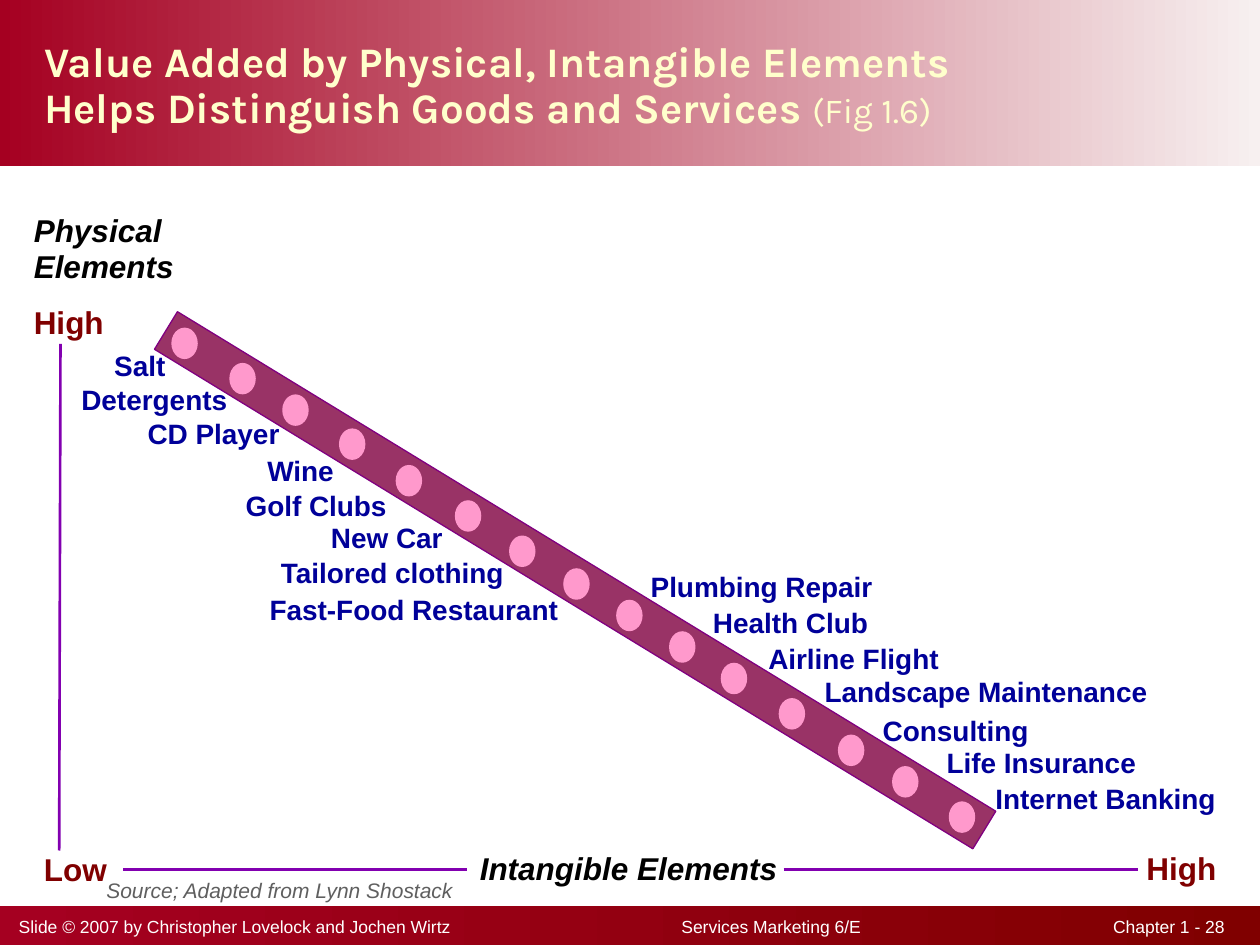
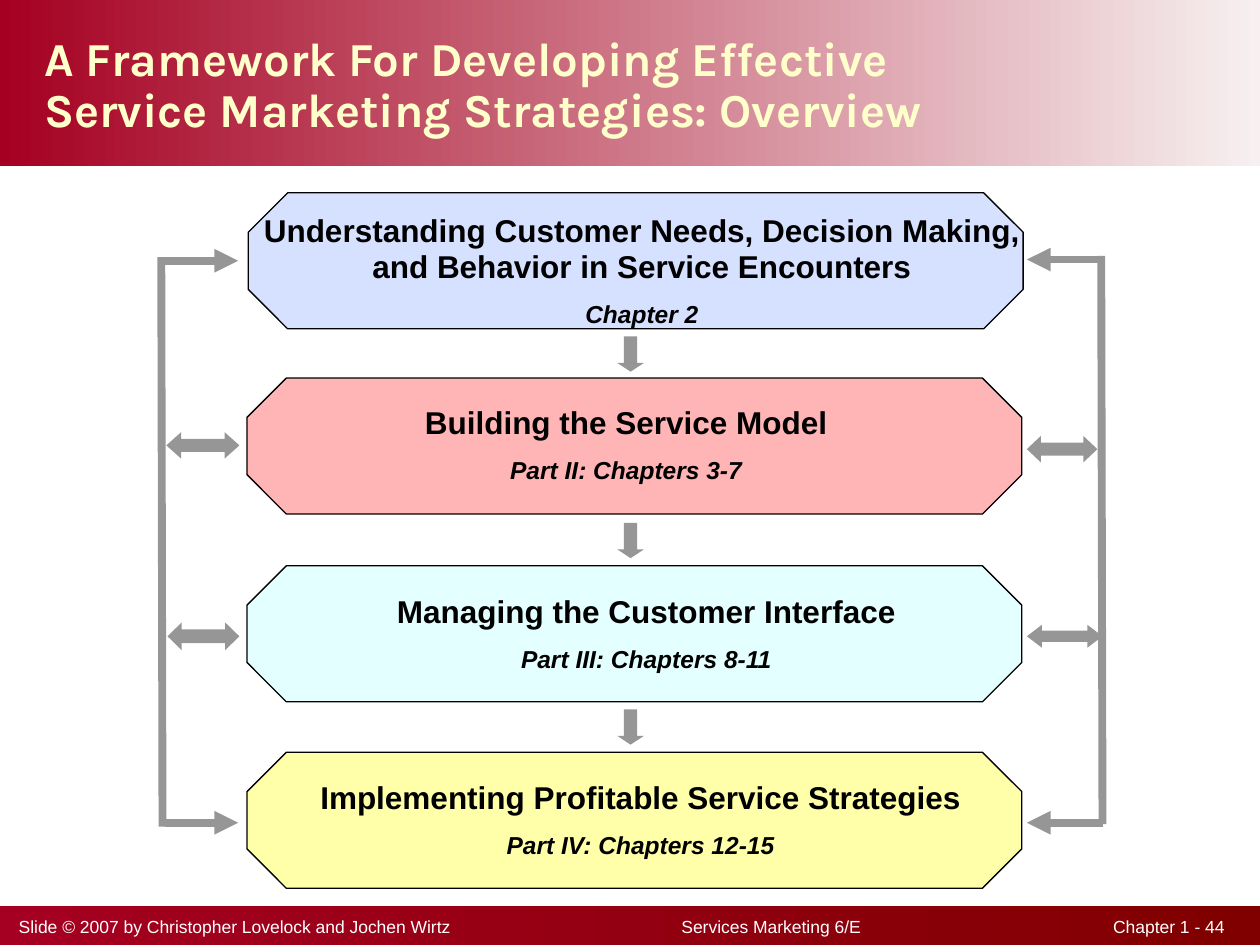
from typing import Any, NamedTuple

from lxml import etree
from pptx import Presentation
from pptx.dml.color import RGBColor
from pptx.enum import shapes, text
from pptx.oxml.ns import qn
from pptx.util import Inches, Pt

# Colours
WINE = RGBColor(0xA5, 0x00, 0x21)
MAROON = RGBColor(0x80, 0x00, 0x00)
PALE = RGBColor(0xF7, 0xF0, 0xF0)
CREAM = RGBColor(0xFF, 0xFF, 0xCC)
WHITE = RGBColor(0xFF, 0xFF, 0xFF)
BLACK = RGBColor(0x00, 0x00, 0x00)
NAVY = RGBColor(0x00, 0x00, 0x99)
VIOLET = RGBColor(0x82, 0x00, 0xB0)
PURPLE = RGBColor(0x80, 0x00, 0x80)
PLUM = RGBColor(0x99, 0x33, 0x66)
PINK = RGBColor(0xFF, 0x99, 0xCC)
GREY = RGBColor(0x96, 0x96, 0x96)
SLATE = RGBColor(0x5F, 0x5F, 0x5F)

KIND = shapes.MSO_SHAPE
LEFT, CENTER = text.PP_ALIGN.LEFT, text.PP_ALIGN.CENTER


class Box(NamedTuple):
    left: float
    top: float
    width: float
    height: float


class Line(NamedTuple):
    words: str
    size: float
    color: RGBColor
    bold: bool = True
    italic: bool = False
    before: float = 0
    face: str = "Arial"


class Good(NamedTuple):
    name: str
    left: float
    top: float
    width: float
    dot: tuple[float, float]


class Step(NamedTuple):
    name: str
    chapter: str
    frame: Box
    label: Box
    color: RGBColor
    alpha: int


class Arrow(NamedTuple):
    box: Box
    head: float


GOODS = [
    Good("Salt", 0.56, 2.74, 1.1, (1.36, 2.6)),
    Good("Detergents", 0.21, 3.01, 2.03, (1.82, 2.88)),
    Good("CD Player", 0.96, 3.28, 1.47, (2.24, 3.13)),
    Good("Wine", 1.79, 3.57, 1.19, (2.69, 3.4)),
    Good("Golf Clubs", 1.71, 3.85, 1.6, (3.14, 3.69)),
    Good("New Car", 2.46, 4.1, 1.22, (3.61, 3.97)),
    Good("Tailored clothing", 2.1, 4.38, 2.03, (4.04, 4.25)),
    Good("Fast-Food Restaurant", 1.75, 4.67, 3.07, (4.47, 4.51)),
    Good("Plumbing Repair", 5.03, 4.49, 2.03, (4.89, 4.76)),
    Good("Health Club", 5.26, 4.78, 2.03, (5.31, 5.01)),
    Good("Airline Flight", 5.76, 5.06, 2.03, (5.72, 5.26)),
    Good("Landscape Maintenance", 6.22, 5.32, 3.21, (6.18, 5.54)),
    Good("Consulting", 6.57, 5.63, 2.03, (6.65, 5.83)),
    Good("Life Insurance", 7.25, 5.89, 2.03, (7.08, 6.08)),
    Good("Internet Banking", 7.76, 6.17, 2.03, (7.53, 6.36)),
]

STEPS = [
    Step("Understanding Customer Needs, Decision Making, and Behavior in Service Encounters",
         "Chapter 2", Box(1.97, 1.53, 6.15, 1.08), Box(1.91, 1.65, 6.37, 1.02),
         RGBColor(0x33, 0x66, 0xFF), 20),
    Step("Building the Service Model", "Part II: Chapters 3-7",
         Box(1.96, 3, 6.15, 1.08), Box(2.76, 3.17, 4.42, 0.73),
         RGBColor(0xFF, 0x00, 0x00), 29),
    Step("Managing the Customer Interface", "Part III: Chapters 8-11",
         Box(1.96, 4.49, 6.15, 1.08), Box(2.92, 4.67, 4.42, 0.73),
         RGBColor(0xCC, 0xFF, 0xFF), 53),
    Step("Implementing Profitable Service Strategies", "Part IV: Chapters 12-15",
         Box(1.96, 5.97, 6.15, 1.08), Box(2.35, 6.15, 5.47, 0.73),
         RGBColor(0xFF, 0xFF, 0x99), 84),
]

LINKS = [
    Arrow(Box(8.15, 3.46, 0.56, 0.21), 0.53),
    Arrow(Box(8.15, 4.96, 0.6, 0.18), 0.66),
    Arrow(Box(1.33, 4.94, 0.57, 0.22), 0.51),
    Arrow(Box(1.32, 3.43, 0.58, 0.21), 0.56),
]


# Drawing helpers
def inch(vals: tuple) -> list:
    return [Inches(v) for v in vals]


def put(target: Any, vals: dict) -> None:
    for key, val in vals.items():
        setattr(target, key, val)


def add_run(para: Any, line: Line) -> None:
    run = para.add_run()
    run.text = line.words
    put(run.font, {"name": line.face, "size": Pt(line.size),
                   "bold": line.bold, "italic": line.italic})
    run.font.color.rgb = line.color


def add_text(slide: Any, box: Box, *lines: Line, align: Any = LEFT,
             wrap: bool = True) -> Any:
    frame = slide.shapes.add_textbox(*inch(box)).text_frame
    frame.word_wrap = wrap
    for i, line in enumerate(lines):
        para = frame.add_paragraph() if i else frame.paragraphs[0]
        put(para, {"alignment": align, "line_spacing": 0.95,
                   "space_before": Pt(line.before)})
        add_run(para, line)
    return frame


def add_form(slide: Any, kind: Any, box: Box, fill: RGBColor,
             edge: RGBColor | None = None, adj: tuple = ()) -> Any:
    form = slide.shapes.add_shape(kind, *inch(box))
    form.shadow.inherit = False
    form.fill.solid()
    form.fill.fore_color.rgb = fill
    if edge is None:
        form.line.fill.background()
    else:
        form.line.color.rgb = edge
        form.line.width = Pt(0.75)
    for i, val in enumerate(adj):
        form.adjustments[i] = val
    return form


def add_line(slide: Any, ends: tuple, color: RGBColor, width: float,
             tip: bool = False) -> None:
    line = slide.shapes.add_connector(shapes.MSO_CONNECTOR.STRAIGHT, *inch(ends))
    line.line.color.rgb = color
    line.line.width = Pt(width)
    props = line.element.spPr
    if tip:
        etree.SubElement(props.find(qn("a:ln")), qn("a:tailEnd"), type="triangle")
    etree.SubElement(props, qn("a:effectLst"))


# Shared elements
def add_bands(slide: Any, layout: Any) -> None:
    bands = [(Box(0, 0, 10, 1.32), PALE), (Box(0, 7.19, 10, 0.31), MAROON)]
    for i, (box, end) in enumerate(bands):
        band = add_form(slide, KIND.RECTANGLE, box, WINE)
        band.fill.gradient()
        band.fill.gradient_angle = 0
        for place, (stop, color) in enumerate(zip(band.fill.gradient_stops, (WINE, end))):
            stop.color.rgb = color
            stop.position = place
        band.element.nvSpPr.cNvPr.set("id", str(100 + i))
        layout.shapes.element.insert(2 + i, band.element)


def add_title(slide: Any, size: float, rows: tuple, note: str = "") -> None:
    title = slide.shapes.title
    put(title, dict(zip(("left", "top", "width", "height"),
                        inch(Box(0.25, 0.03, 8.25, 1.32)))))
    put(title.text_frame, {"word_wrap": True, "auto_size": text.MSO_AUTO_SIZE.NONE,
                           "vertical_anchor": text.MSO_ANCHOR.MIDDLE})
    para = title.text_frame.paragraphs[0]
    put(para, {"alignment": LEFT, "line_spacing": 0.9, "space_before": Pt(0)})
    for i, row in enumerate(rows):
        if i:
            para.add_line_break()
        add_run(para, Line(row, size, CREAM, face="Karla"))
    if note:
        add_run(para, Line(note, 20, CREAM, False, face="Karla"))


def add_foot(slide: Any, page: int) -> None:
    words = ("Slide © 2007 by Christopher Lovelock and Jochen Wirtz"
             f"\tServices Marketing 6/E\tChapter 1 - {page}")
    frame = add_text(slide, Box(0.05, 7.22, 9.78, 0.27), Line(words, 10, WHITE, False))
    para = frame.paragraphs[0]
    para.line_spacing = 1.0
    tabs = etree.SubElement(para._p.get_or_add_pPr(), qn("a:tabLst"))
    for pos, side in ((5.26, "l"), (9.57, "r")):
        etree.SubElement(tabs, qn("a:tab"), pos=str(Inches(pos)), algn=side)


# Slide with the scale of goods and services
def draw_scale(slide: Any) -> None:
    add_title(slide, 24, ("Value Added by Physical, Intangible Elements",
                          "Helps Distinguish Goods and Services "), "(Fig 1.6)")
    # Axes
    add_text(slide, Box(0.17, 1.65, 2.03, 1.11),
             Line("Physical Elements", 18, BLACK, italic=True),
             Line("High", 18, MAROON, before=11.2))
    add_text(slide, Box(0.25, 6.72, 0.83, 0.39), Line("Low", 18, MAROON))
    add_text(slide, Box(3.71, 6.71, 2.63, 0.39),
             Line("Intangible Elements", 18, BLACK, italic=True))
    add_text(slide, Box(9, 6.71, 0.79, 0.39), Line("High", 18, MAROON))
    for ends in ((0.48, 2.73, 0.47, 6.75), (0.98, 6.9, 3.71, 6.9), (6.22, 6.9, 9.03, 6.9)):
        add_line(slide, ends, VIOLET, 1.5)
    # Bar with dots and names
    bar = add_form(slide, KIND.RECTANGLE, Box(4.39, 0.8, 0.35, 7.61), PLUM, PURPLE)
    bar.rotation = 301.4
    for good in GOODS:
        add_form(slide, KIND.OVAL, Box(*good.dot, 0.21, 0.25), PINK)
        add_text(slide, Box(good.left, good.top, good.width, 0.36),
                 Line(good.name, 16, NAVY), align=CENTER)
    add_text(slide, Box(0.72, 6.93, 3, 0.29),
             Line("Source; Adapted from Lynn Shostack", 12, SLATE, False, True),
             align=CENTER, wrap=False)


# Slide with the four-step framework
def draw_steps(slide: Any) -> None:
    add_title(slide, 27, ("A Framework For Developing Effective",
                          "Service Marketing Strategies: Overview"))
    for step in STEPS:
        form = add_form(slide, KIND.OCTAGON, step.frame, step.color, BLACK, (0.29,))
        tint = form.element.spPr.find(qn("a:solidFill"))[0]
        etree.SubElement(tint, qn("a:alpha"), val=str(step.alpha * 1000))
        add_text(slide, step.label, Line(step.name, 18, BLACK),
                 Line(step.chapter, 14, BLACK, italic=True, before=8.8), align=CENTER)
    # Arrows between steps and to the side rails
    for i in range(len(STEPS) - 1):
        add_form(slide, KIND.DOWN_ARROW, Box(4.9, 2.67 + 1.48 * i, 0.21, 0.28),
                 GREY, adj=(0.5, 0.33))
    for link in LINKS:
        add_form(slide, KIND.LEFT_RIGHT_ARROW, link.box, GREY, adj=(0.5, link.head))
    for start, end, high in ((1.31, 1.89, 2.07), (8.75, 8.15, 2.06)):
        for y in (high, 6.53):
            add_line(slide, (start, y, end, y), GREY, 4.5, tip=True)
    for ends in ((1.28, 2.04, 1.29, 6.56), (8.74, 2.03, 8.75, 6.54)):
        add_line(slide, ends, GREY, 4.5)


def main() -> None:
    deck = Presentation()
    put(deck, {"slide_width": Inches(10), "slide_height": Inches(7.5)})
    layout = deck.slide_layouts[5]
    for i, (draw, page) in enumerate(((draw_scale, 28), (draw_steps, 44))):
        slide = deck.slides.add_slide(layout)
        if not i:
            add_bands(slide, layout)
        draw(slide)
        add_foot(slide, page)
    deck.save("out.pptx")


if __name__ == "__main__":
    main()
